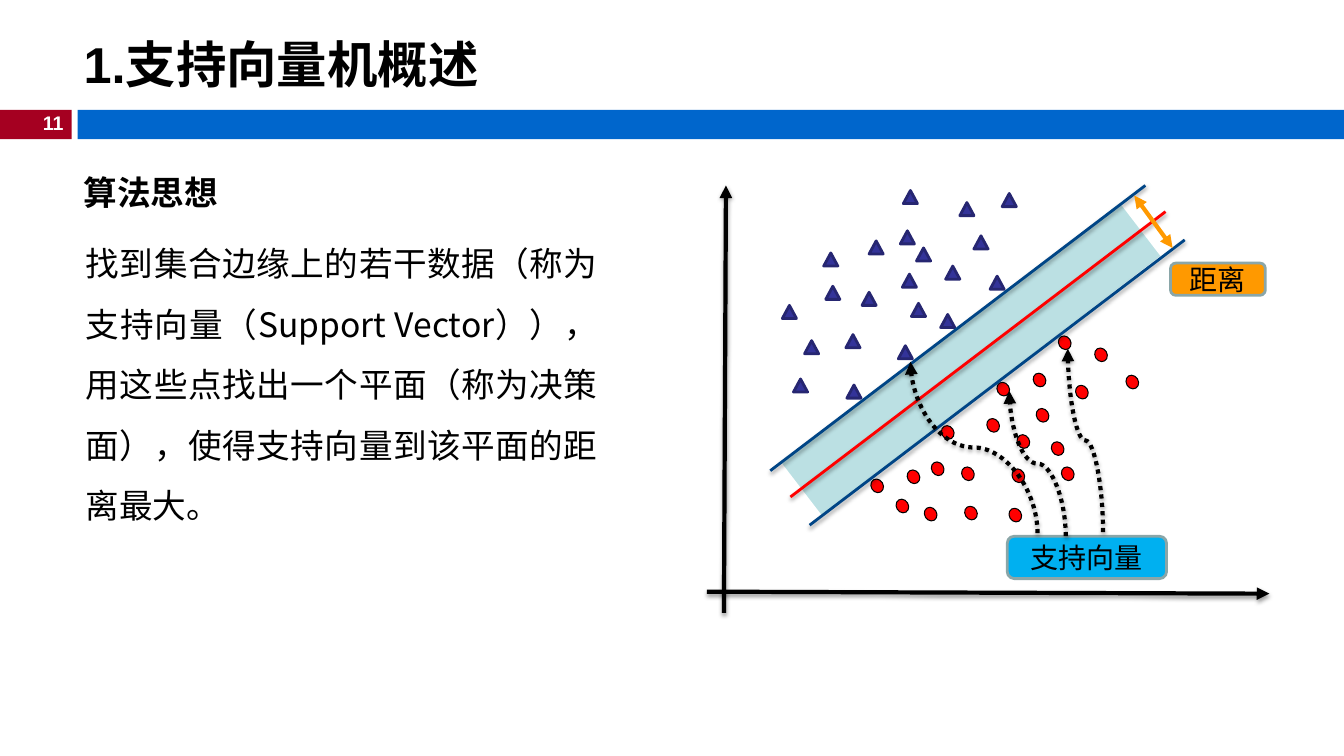
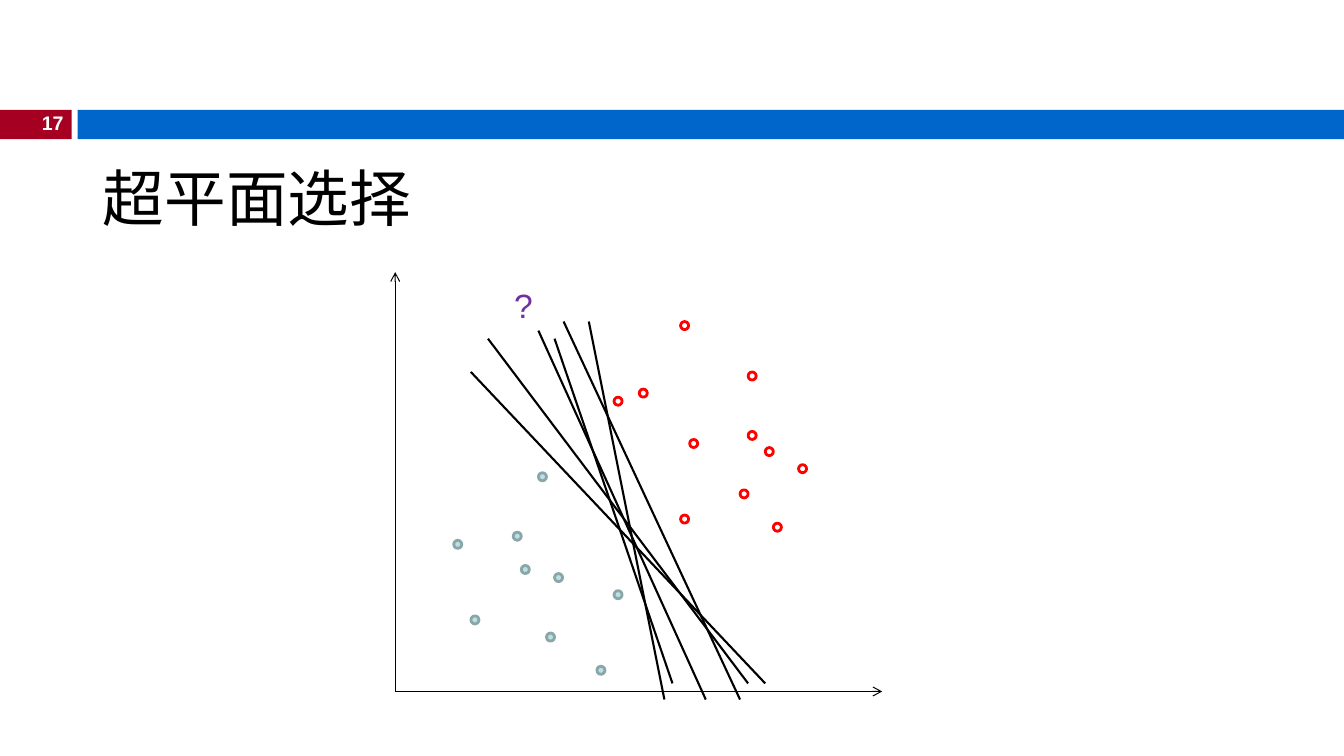
import pptx
import pptx.dml.color
import pptx.enum.shapes
import pptx.enum.text
import pptx.oxml.ns
import pptx.util
from lxml import etree

Inches = pptx.util.Inches
Pt = pptx.util.Pt
qn = pptx.oxml.ns.qn
Shape = pptx.enum.shapes.MSO_SHAPE
Link = pptx.enum.shapes.MSO_CONNECTOR
Align = pptx.enum.text.PP_ALIGN
Anchor = pptx.enum.text.MSO_ANCHOR


class Theme:
    """Colours, fonts and type sizes."""
    black, white, red = "000000", "FFFFFF", "FF0000"
    maroon, blue = "A50021", "0066CC"
    sky, orange, mist, slate = "00B0F0", "FF9900", "BBE0E3", "8AA6A8"
    navy, ink, margin, purple = "333399", "262671", "004586", "7030A0"
    latin, asian = "Arial", "Noto Sans CJK SC"
    small, label, text, title, large = 14, 20, 24, 36, 44


def put(slide, kind, box, fill, edge=None, width=2, turn=0):
    """Add a flat preset shape; box is left, top, width, height."""
    shape = slide.shapes.add_shape(kind, *map(Inches, box))
    shape.shadow.inherit = False
    shape.rotation = turn
    if fill:
        shape.fill.solid()
        shape.fill.fore_color.rgb = pptx.dml.color.RGBColor.from_string(fill)
    else:
        shape.fill.background()
    if edge:
        shape.line.color.rgb = pptx.dml.color.RGBColor.from_string(edge)
        shape.line.width = Pt(width)
    else:
        shape.line.fill.background()
    return shape


def draw(slide, ends, colour, width, kind=Link.STRAIGHT, head=None, tail=None,
         dash=None, shade=False):
    """Add a connector; ends is x1, y1, x2, y2."""
    link = slide.shapes.add_connector(kind, *map(Inches, ends))
    link.line.color.rgb = pptx.dml.color.RGBColor.from_string(colour)
    link.line.width = Pt(width)
    line = link.line._get_or_add_ln()
    for tag, value, key in (("a:prstDash", dash, "val"),
                            ("a:headEnd", head, "type"),
                            ("a:tailEnd", tail, "type")):
        if value:
            etree.SubElement(line, qn(tag)).set(key, value)
    effects = etree.SubElement(link.element.spPr, qn("a:effectLst"))
    if shade:
        drop = etree.SubElement(effects, qn("a:outerShdw"), dir="5400000",
                                blurRad=str(Pt(3.1)), dist=str(Pt(1.6)),
                                rotWithShape="0")
        tint = etree.SubElement(drop, qn("a:srgbClr"), val=Theme.black)
        etree.SubElement(tint, qn("a:alpha"), val="38000")
    return link


deck = pptx.Presentation()
deck.slide_width, deck.slide_height = Inches(13.33), Inches(7.5)
idea = deck.slides.add_slide(deck.slide_layouts[1])
choice = deck.slides.add_slide(deck.slide_layouts[5])

# Shared bands live on the master
master = deck.slide_master.shapes.element
for number, (left, width, fill) in enumerate(
        ((0, 0.71, Theme.maroon), (0.77, 12.56, Theme.blue)), 20):
    band = put(idea, Shape.RECTANGLE, (left, 1.09, width, 0.29), fill)
    band.element.nvSpPr.cNvPr.id = number
    master.insert_element_before(band.element, "p:extLst")

# Titles and page numbers; words gathers paragraphs for the text loop below
words = []
for slide, page, name, box, size, bold, space in (
        (idea, "11", "1.支持向量机概述", (0.73, 0.26, 12.6, 0.74),
         Theme.title, True, 1),
        (choice, "17", "超平面选择", (0.92, 1.27, 11.5, 1.45),
         Theme.large, False, 0.9)):
    title = slide.shapes.title
    title.left, title.top, title.width, title.height = map(Inches, box)
    frame = title.text_frame
    frame.vertical_anchor = Anchor.MIDDLE
    frame.auto_size = pptx.enum.text.MSO_AUTO_SIZE.NONE
    para = frame.paragraphs[0]
    para.line_spacing = space
    words.append((para, name, size, Theme.latin, Theme.black, bold, Align.LEFT))
    frame = slide.shapes.add_textbox(
        *map(Inches, (0.29, 1.05, 0.44, 0.34))).text_frame
    frame.word_wrap = False
    words.append((frame.paragraphs[0], page, Theme.small, Theme.latin,
                  Theme.white, True, Align.RIGHT))

# Idea: heading and body text, with no punctuation hanging past the edge
body = idea.placeholders[1]
body.left, body.top, body.width, body.height = map(
    Inches, (0.73, 1.46, 5.3, 3.76))
frame = body.text_frame
frame.auto_size = pptx.enum.text.MSO_AUTO_SIZE.NONE
frame.vertical_anchor = Anchor.TOP
for para, text, bold, gap, inset in (
        (frame.paragraphs[0], "算法思想", True, 0, 0),
        (frame.add_paragraph(),
         "找到集合边缘上的若干数据（称为支持向量（Support Vector）），"
         "用这些点找出一个平面（称为决策面），使得支持向量到该平面的距离最大。",
         False, 7.5, 0.02)):
    props = para._p.get_or_add_pPr()
    props.set("marL", str(Inches(inset)))
    props.set("indent", "0")
    props.set("hangingPunct", "0")
    etree.SubElement(props, qn("a:buNone"))
    para.line_spacing = 1.5
    para.space_before = Pt(gap)
    words.append((para, text, Theme.text, Theme.asian, Theme.black, bold,
                  Align.JUSTIFY))

# Idea: labels, then the shaded strip between the margins
for text, box, fill in (("支持向量", (9.99, 5.32, 1.58, 0.42), Theme.sky),
                        ("距离", (11.61, 2.61, 0.94, 0.32), Theme.orange)):
    frame = put(idea, Shape.ROUNDED_RECTANGLE, box, fill,
                Theme.slate).text_frame
    frame.vertical_anchor = Anchor.MIDDLE
    words.append((frame.paragraphs[0], text, Theme.label, Theme.asian,
                  Theme.black, False, Align.CENTER))
put(idea, Shape.RECTANGLE, (7.5, 3.22, 4.26, 0.69), Theme.mist, Theme.white,
    turn=322.5)

# Data points of both slides: top left corners
balls = ((9.24, 4.58), (8.89, 4.95), (9.17, 5.03), (9.89, 3.79), (9, 4.66),
         (10.25, 3.7), (10.53, 4.63), (10.67, 3.82), (10.09, 4.31),
         (9.54, 4.63), (10.86, 3.45), (9.79, 4.15), (10.43, 4.38),
         (10.28, 4.05), (9.57, 5.02), (10.01, 5.04), (10.04, 4.65),
         (8.64, 4.75), (10.5, 3.33), (11.17, 3.72), (9.34, 4.22))
peaks = ((9.04, 3.01), (9.33, 3.12), (9.38, 2.64), (8.96, 1.89), (8.93, 2.29),
         (9.09, 2.46), (9.52, 2.01), (9.94, 1.92), (9.66, 2.34), (8.17, 2.51),
         (9.82, 2.74), (8.19, 2.84), (8.62, 2.39), (7.76, 3.03), (8.95, 2.72),
         (7.98, 3.38), (8.39, 3.32), (8.4, 3.82), (7.87, 3.76), (8.91, 3.43),
         (8.55, 2.9))
dots = ((4.5, 5.36), (5.09, 5.28), (5.17, 5.61), (6.09, 5.86), (5.5, 5.69),
        (5.42, 6.28), (5.34, 4.69), (5.92, 6.61), (4.67, 6.11))
rings = ((6.34, 3.86), (7.42, 4.28), (6.75, 3.19), (6.84, 4.36), (6.75, 5.11),
         (6.09, 3.94), (7.34, 4.86), (7.42, 3.69), (7.67, 5.19), (7.92, 4.61),
         (7.59, 4.44))
for slide, kind, size, fill, edge, width, turn, spots in (
        (idea, Shape.OVAL, (0.12, 0.14), Theme.red, Theme.black, 0.75, 148.9,
         balls),
        (idea, Shape.ISOSCELES_TRIANGLE, (0.14, 0.13), Theme.navy, Theme.ink,
         2, 0, peaks),
        (choice, Shape.OVAL, (0.08, 0.08), Theme.mist, Theme.slate, 2, 0, dots),
        (choice, Shape.OVAL, (0.08, 0.08), None, Theme.red, 2, 0, rings)):
    for spot in spots:
        put(slide, kind, spot + size, fill, edge, width, turn)

# Idea: axes, then the plane with a margin on each side
for ends in ((7.01, 5.87, 12.59, 5.89), (7.18, 6.08, 7.2, 1.84)):
    draw(idea, ends, Theme.black, 3, tail="triangle", shade=True)
for left, top, colour in ((7.84, 4.93, Theme.red), (7.64, 4.67, Theme.margin),
                          (8.03, 5.21, Theme.margin)):
    draw(idea, (left, top, left + 3.72, top - 2.83), colour, 2, shade=True)

# Idea: dotted curves rise from the label to each support vector
for x1, y1, x2, y2 in ((10.94, 5.28, 10.59, 3.46), (10.29, 5.29, 9.03, 3.59),
                       (10.57, 5.32, 10.01, 3.88)):
    midx, midy = (x1 + x2) / 2, (y1 + y2) / 2
    run, rise = (y1 - y2) / 2, (x1 - x2) / 2
    curve = draw(idea, (midx - run, midy + rise, midx + run, midy - rise),
                 Theme.black, 3, Link.CURVE, tail="triangle", dash="sysDot",
                 shade=True)
    curve.element.spPr.find(qn("a:xfrm")).set("rot", "16200000")

# Idea: distance arrow
draw(idea, (11.25, 1.94, 11.63, 2.46), Theme.orange, 3, head="triangle",
     tail="triangle")

# Choice: axes and candidate planes
for ends in ((3.92, 6.86, 8.75, 6.86), (3.92, 6.86, 3.92, 2.7)):
    draw(choice, ends, Theme.black, 0.75, tail="arrow")
for ends in ((4.84, 3.36, 7.42, 6.78), (5.34, 3.28, 7, 6.94),
             (4.67, 3.69, 7.59, 6.78), (5.59, 3.19, 7.34, 6.94),
             (5.5, 3.36, 6.67, 6.78), (5.84, 3.19, 6.59, 6.94)):
    draw(choice, ends, Theme.black, 1.5)
frame = choice.shapes.add_textbox(*map(Inches, (5, 2.78, 0.32, 0.4))).text_frame
frame.word_wrap = False
words.append((frame.paragraphs[0], "?", Theme.text, Theme.latin, Theme.purple,
              False, Align.LEFT))

# Text, run by run
for para, text, size, face, colour, bold, align in words:
    para.alignment = align
    run = para.add_run()
    run.text = text
    font = run.font
    font.size, font.bold, font.name = Pt(size), bold, face
    font.color.rgb = pptx.dml.color.RGBColor.from_string(colour)
    etree.SubElement(run._r.get_or_add_rPr(), qn("a:ea")).set(
        "typeface", Theme.asian)

deck.save("out.pptx")
